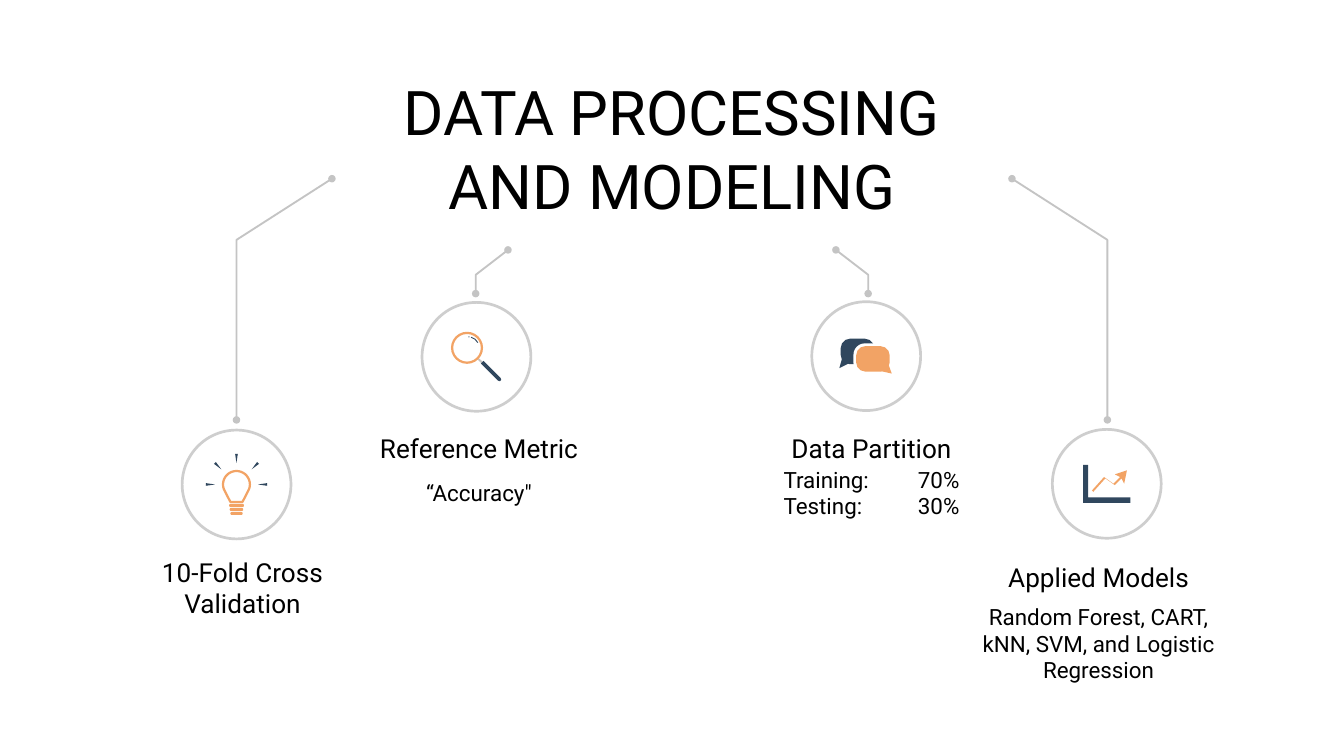
from math import cos, radians, sin

from pptx import Presentation
from pptx.dml.color import RGBColor
from pptx.enum.shapes import MSO_SHAPE as SHAPE
from pptx.enum.text import MSO_ANCHOR as ANCHOR, PP_ALIGN as ALIGN
from pptx.util import Inches, Pt

COLORS = {
    "text": "000000",
    "leader": "C4C4C4",
    "ring": "CECECE",
    "white": "FFFFFF",
    "navy": "30475E",
    "orange": "F2A365",
}
COLS = 100    # square grid cells across the slide
MIDDLE = COLS / 2


def rgb(name):
    return RGBColor.from_string(COLORS[name])


def polar(radius, degrees):
    return radius * cos(radians(degrees)), radius * sin(radians(degrees))


def write_text(sp, text, size=12, color="text", font="Roboto", align=ALIGN.CENTER):
    tf = sp.text_frame
    tf.word_wrap = True
    tf.vertical_anchor = ANCHOR.MIDDLE
    tf.margin_left = tf.margin_right = tf.margin_top = tf.margin_bottom = Inches(0.1)
    for i, line in enumerate(text.split("\n")):
        p = tf.paragraphs[0] if i == 0 else tf.add_paragraph()
        p.alignment = align
        r = p.add_run()
        r.text = line
        r.font.name = font
        r.font.size = Pt(size)
        r.font.color.rgb = rgb(color)


class Diagram:
    """Draws on one slide in grid cells, measured from a movable origin."""

    def __init__(self, prs):
        self.s = prs.slides.add_slide(prs.slide_layouts[6])
        self.cell = prs.slide_width / COLS
        self.origin = (0, 0)

    def emu(self, x, y):
        ox, oy = self.origin
        return round((ox + x) * self.cell), round((oy + y) * self.cell)

    def paint(self, sp, fill=None, line=None, width=1):
        sp.shadow.inherit = False
        if fill:
            sp.fill.solid()
            sp.fill.fore_color.rgb = rgb(fill)
        else:
            sp.fill.background()
        if line:
            sp.line.color.rgb = rgb(line)
            sp.line.width = Pt(width)
        else:
            sp.line.fill.background()
        return sp

    def text(self, x, y, w, h, text, **fmt):
        box = self.s.shapes.add_textbox(
            *self.emu(x, y), round(w * self.cell), round(h * self.cell))
        write_text(box, text, **fmt)

    def preset(self, kind, x, y, w, h, **style):
        sp = self.s.shapes.add_shape(
            kind, *self.emu(x, y), round(w * self.cell), round(h * self.cell))
        return self.paint(sp, **style)

    def circle(self, x, y, d, **style):
        self.preset(SHAPE.OVAL, x - d / 2, y - d / 2, d, d, **style)

    def rounded(self, x, y, w, h, corner, fill):
        sp = self.preset(SHAPE.ROUNDED_RECTANGLE, x, y, w, h, fill=fill)
        sp.adjustments[0] = corner

    def outline(self, points, closed=True, **style):
        start, *rest = [self.emu(x, y) for x, y in points]
        fb = self.s.shapes.build_freeform(*start)
        fb.add_line_segments(rest, close=closed)
        self.paint(fb.convert_to_shape(), **style)

    def leader(self, points):
        self.outline(points, closed=False, line="leader", width=1)
        for x, y in (points[0], points[-1]):
            self.circle(x, y, 0.56, fill="leader")

    def node(self, x, y, draw_icon):
        self.origin = (x, y)
        self.circle(0, 0, 8.1, fill="white", line="ring", width=1.45)
        draw_icon(self)
        self.origin = (0, 0)


def bulb(d):
    glass = [polar(1, a) for a in range(150, 391, 10)]
    d.outline(glass + [(0.45, 1.3), (-0.45, 1.3)], line="orange", width=1.2)
    for y, w in ((1.45, 1.1), (1.75, 1), (2.05, 0.9)):
        d.rounded(-w / 2, y, w, 0.22, 0.4, "orange")
    for angle in range(180, 361, 45):
        ray = [polar(1.6, angle), polar(2.27, angle - 2.5), polar(2.27, angle + 2.5)]
        d.outline(ray, fill="navy")


def magnifier(d):
    d.outline([(0.2, 0.12), (0.1, 0.22), (0.4, 0.5), (0.5, 0.4)], fill="leader")
    d.outline([(0.53, 0.3), (0.33, 0.5), (1.6, 1.77), (1.75, 1.82),
               (1.85, 1.72), (1.8, 1.57)], fill="navy")
    d.circle(-0.7, -0.67, 2.22, line="orange", width=1.2)
    glint = [(-0.4, -1.45), (-0.1, -1.3), (0.1, -1.05)]
    d.outline(glint, closed=False, line="navy", width=0.5)
    d.circle(-0.55, -1.48, 0.08, fill="navy")


def chat(d):
    d.outline([(-2, 0.9), (-1.8, 0.2), (-1.2, 0.5)], fill="navy")
    d.rounded(-1.9, -1.3, 2.5, 1.9, 0.37, "navy")
    d.rounded(-0.95, -0.95, 2.9, 2.3, 0.37, "white")
    d.outline([(1.9, 1.3), (1.65, 0.6), (1, 1.1)], fill="orange")
    d.rounded(-0.75, -0.75, 2.5, 1.9, 0.37, "orange")


def trend(d):
    d.outline([(1.5, -1), (0.6, -0.7), (1, -0.5), (0.5, 0), (-0.2, -0.5), (-1.1, 0.5),
               (-1, 0.6), (-0.1, -0.4), (0.6, 0.1), (1.1, -0.4), (1.3, 0)], fill="orange")
    d.outline([(-1.75, -1.4), (-1.38, -1.4), (-1.38, 1.02), (1.75, 1.02),
               (1.75, 1.42), (-1.75, 1.42)], fill="navy")


def main():
    prs = Presentation()
    prs.slide_width = Inches(10)
    prs.slide_height = prs.slide_width * 9 // 16
    d = Diagram(prs)

    d.text(28.35, 4.45, 43.3, 13.1, "DATA PROCESSING AND MODELING", size=33)

    # Leaders as distances from the slide's middle, drawn on both sides
    outer = [(25.3, 13.3), (32.4, 17.85), (32.4, 31.25)]
    inner = [(12.2, 18.6), (14.6, 20.45), (14.6, 21.85)]
    for side in (-1, 1):
        for route in (outer, inner):
            d.leader([(MIDDLE + side * x, y) for x, y in route])

    for x, y, icon in ((-32.4, 36.05, bulb), (-14.55, 26.55, magnifier),
                       (14.45, 26.5, chat), (32.35, 36, trend)):
        d.node(MIDDLE + x, y, icon)

    for x, y, h, heading in (
        (8.4, 41.5, 4.4, "10-Fold Cross Validation"),
        (26, 31.85, 2.9, "Reference Metric"),
        (55.2, 31.85, 2.9, "Data Partition"),
        (72.1, 41.45, 2.9, "Applied Models"),
    ):
        d.text(x, y, 19.3, h, heading, size=14)
    for x, y, h, body in (
        (26, 34.7, 3.9, "“Accuracy\""),
        (55.2, 34.7, 3.9, "Training:\t70%\nTesting: \t30%"),
        (72.1, 44.6, 6.5, "Random Forest, CART, kNN, SVM, and Logistic Regression"),
    ):
        d.text(x, y, 19.3, h, body)

    prs.save("out.pptx")


if __name__ == "__main__":
    main()
